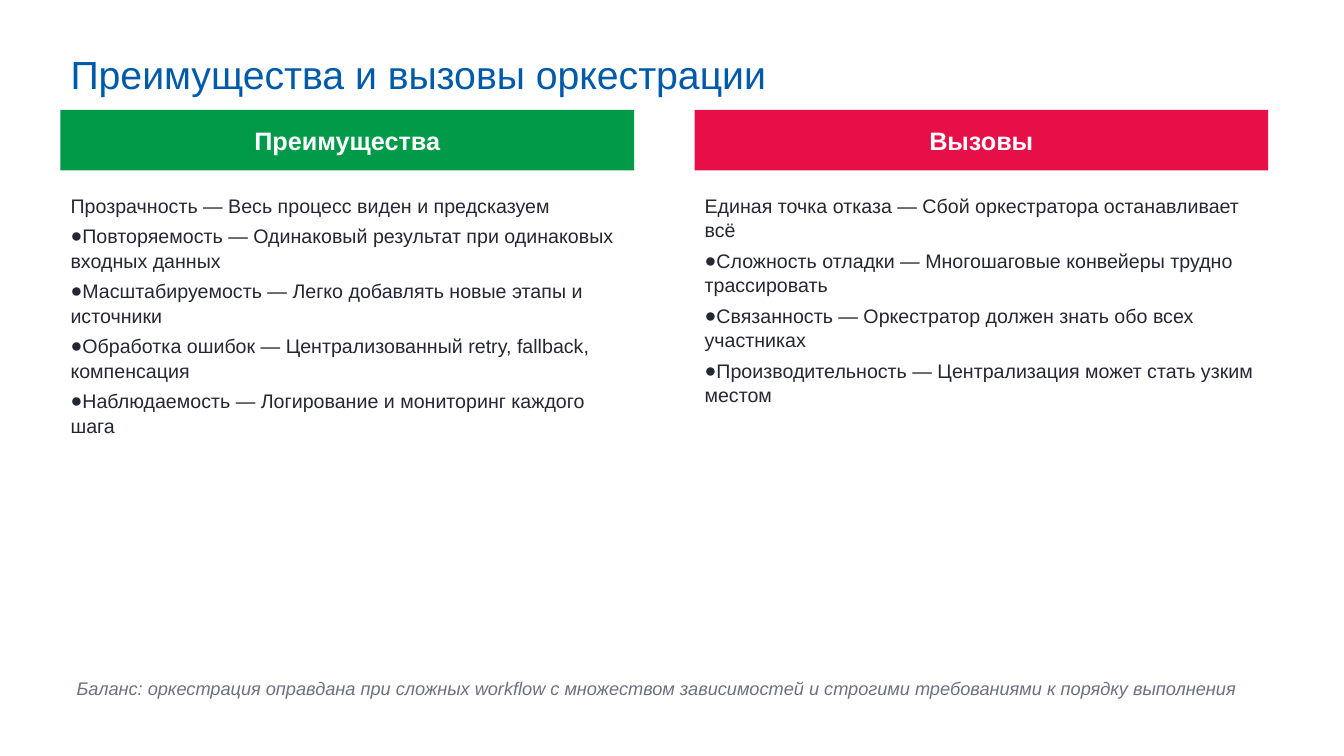
from lxml import etree
from pptx import Presentation
from pptx import util as u
from pptx.dml.color import RGBColor
from pptx.enum import shapes, text
from pptx.oxml.ns import qn

COLORS = {
    "title": "005AAA",
    "benefits": "009A49",
    "challenges": "E70F47",
    "body": "242834",
    "note": "6B7280",
    "white": "FFFFFF",
}
LEFT = 43.2
COLUMN_WIDTH = 409.7
COLUMN_STEP = 452.9


def place(shape, left, top, width, height):
    shape.left, shape.top = u.Pt(left), u.Pt(top)
    shape.width, shape.height = u.Pt(width), u.Pt(height)


def write(paragraph, words, size, color, align=text.PP_ALIGN.LEFT, bold=False, italic=False):
    paragraph.alignment = align
    paragraph.space_before = u.Pt(0)
    run = paragraph.add_run()
    run.text = words
    run.font.name = "Arial"
    run.font.size = u.Pt(size)
    run.font.bold = bold
    run.font.italic = italic
    run.font.color.rgb = RGBColor.from_string(COLORS[color])


presentation = Presentation()
presentation.slide_width = u.Pt(960)
presentation.slide_height = u.Pt(540)
slide = presentation.slides.add_slide(presentation.slide_layouts[3])

# Title
title = slide.shapes.title
place(title, LEFT, 32.4, 756.7, 31.7)
title.text_frame.auto_size = text.MSO_AUTO_SIZE.NONE
title.text_frame.vertical_anchor = text.MSO_ANCHOR.TOP
write(title.text_frame.paragraphs[0], "Преимущества и вызовы оркестрации", 28, "title")

# Two columns: coloured header above a list
columns = [
    ("Преимущества", "benefits", [
        "Прозрачность — Весь процесс виден и предсказуем",
        "Повторяемость — Одинаковый результат при одинаковых входных данных",
        "Масштабируемость — Легко добавлять новые этапы и источники",
        "Обработка ошибок — Централизованный retry, fallback, компенсация",
        "Наблюдаемость — Логирование и мониторинг каждого шага",
    ]),
    ("Вызовы", "challenges", [
        "Единая точка отказа — Сбой оркестратора останавливает всё",
        "Сложность отладки — Многошаговые конвейеры трудно трассировать",
        "Связанность — Оркестратор должен знать обо всех участниках",
        "Производительность — Централизация может стать узким местом",
    ]),
]
for column, (heading, color, points) in enumerate(columns):
    left = LEFT + column * COLUMN_STEP

    header = slide.shapes.add_shape(
        shapes.MSO_SHAPE.RECTANGLE, u.Pt(left), u.Pt(78.5), u.Pt(COLUMN_WIDTH), u.Pt(43.2))
    header.shadow.inherit = False
    header.fill.solid()
    header.fill.fore_color.rgb = RGBColor.from_string(COLORS[color])
    header.line.fill.background()
    header.text_frame.vertical_anchor = text.MSO_ANCHOR.MIDDLE
    write(header.text_frame.paragraphs[0], heading, 18, "white", text.PP_ALIGN.CENTER, bold=True)

    body = slide.placeholders[column + 1]
    place(body, left, 133.9, COLUMN_WIDTH, 354.2)
    frame = body.text_frame
    frame.auto_size = text.MSO_AUTO_SIZE.NONE
    for number, point in enumerate(points):
        paragraph = frame.add_paragraph() if number else frame.paragraphs[0]
        properties = paragraph._p.get_or_add_pPr()
        properties.set("marL", "0")
        properties.set("indent", "0")
        if number:
            etree.SubElement(properties, qn("a:buChar")).set("char", "●")
        else:
            etree.SubElement(properties, qn("a:buNone"))
        write(paragraph, point, 14, "body")
        paragraph.line_spacing = 1.05
        paragraph.space_before = u.Pt(4 if number else 0)

# Closing note
note = slide.shapes.add_textbox(u.Pt(LEFT), u.Pt(480.2), u.Pt(850.3), u.Pt(39.6))
note.text_frame.word_wrap = True
write(note.text_frame.paragraphs[0],
      "Баланс: оркестрация оправдана при сложных workflow с множеством зависимостей "
      "и строгими требованиями к порядку выполнения",
      13, "note", text.PP_ALIGN.CENTER, italic=True)

presentation.save("out.pptx")
